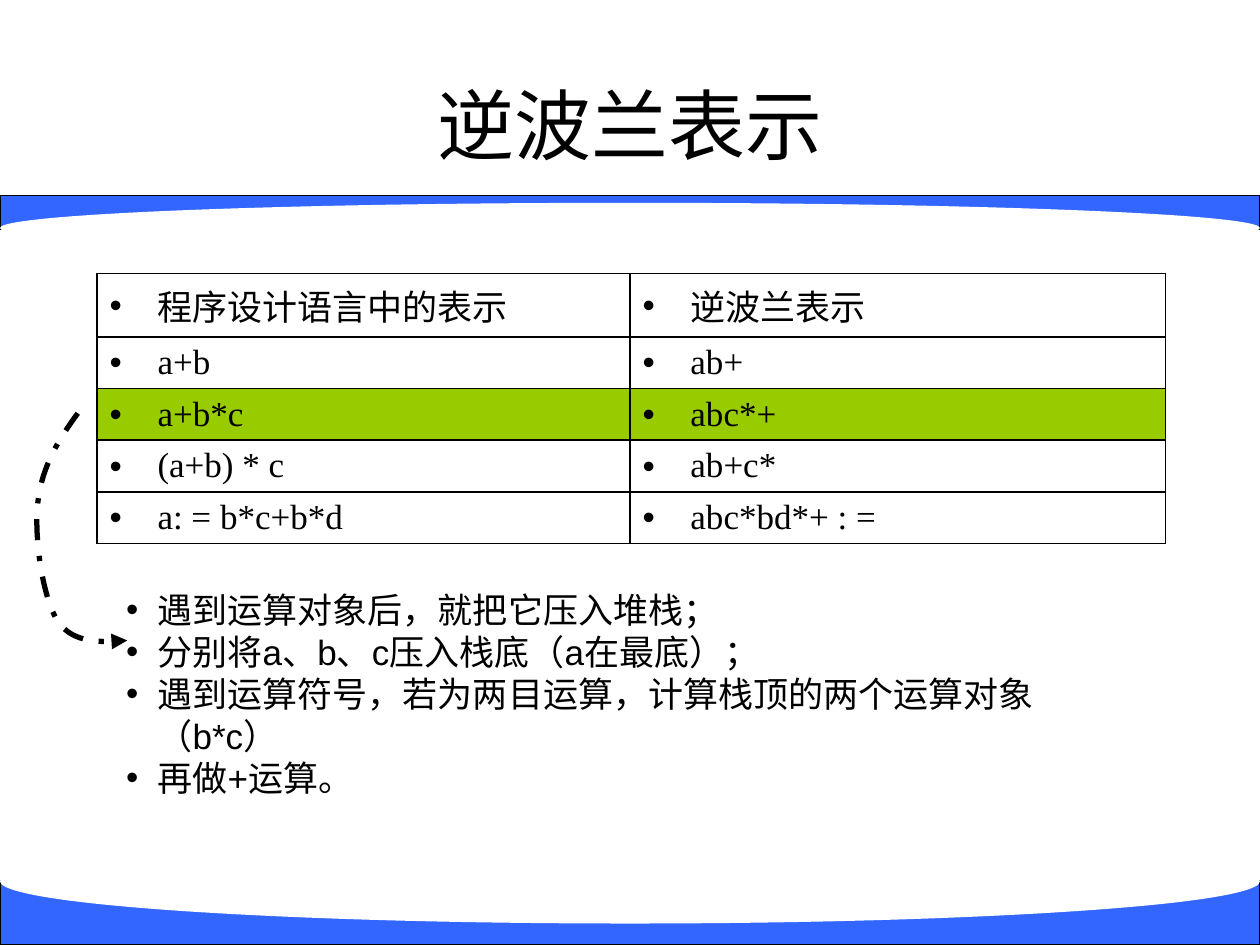
from lxml import etree
from pptx import Presentation
from pptx.dml.color import RGBColor
from pptx.enum.dml import MSO_LINE
from pptx.enum.shapes import MSO_SHAPE
from pptx.enum.text import MSO_ANCHOR, MSO_AUTO_SIZE, PP_ALIGN
from pptx.oxml.ns import qn
from pptx.util import Inches, Pt

RECTANGLE, OVAL = MSO_SHAPE.RECTANGLE, MSO_SHAPE.OVAL
MIDDLE, TOP = MSO_ANCHOR.MIDDLE, MSO_ANCHOR.TOP
CENTER, LEFT = PP_ALIGN.CENTER, PP_ALIGN.LEFT
DASH_DOT = MSO_LINE.DASH_DOT
NO_AUTOFIT = MSO_AUTO_SIZE.NONE

COLORS = {"blue": "3366FF", "white": "FFFFFF", "black": "000000", "green": "99CC00"}
TITLE_FONT = {"name": "Arial", "size": Pt(44), "bold": False}
LIST_FONT = {"name": "Arial", "size": Pt(20), "bold": False}
TABLE_FONT = {"name": "Times New Roman", "size": Pt(20), "bold": False}

EXPRESSIONS = [
    ("程序设计语言中的表示", "逆波兰表示"),
    ("a+b", "ab+"),
    ("a+b*c", "abc*+"),
    ("(a+b) * c", "ab+c*"),
    ("a: = b*c+b*d", "abc*bd*+ : ="),
]
HIGHLIGHTED_ROW = 2
STEPS = [
    "遇到运算对象后，就把它压入堆栈；",
    "分别将a、b、c压入栈底（a在最底）；",
    "遇到运算符号，若为两目运算，计算栈顶的两个运算对象（b*c）",
    "再做+运算。",
]
# Joined cubic curves as fractions of the arrow's box: a start, then three points each.
ARROW_CURVE = [
    (0.47, 0),
    (0.27, 0.11), (0.08, 0.23), (0.04, 0.39),
    (0, 0.53), (0.09, 0.8), (0.26, 0.9),
    (0.42, 0.99), (0.7, 0.99), (1, 0.98),
]


def color(name):
    return RGBColor.from_string(COLORS[name])


def format_paragraph(paragraph, font_values, alignment=LEFT):
    paragraph.alignment = alignment
    paragraph.space_before = Pt(0)
    for name, value in font_values.items():
        setattr(paragraph.font, name, value)
    paragraph.font.color.rgb = color("black")


def add_bullet(paragraph, indent):
    properties = paragraph._p.get_or_add_pPr()
    properties.set("marL", str(Inches(indent)))
    properties.set("indent", str(-Inches(indent)))
    etree.SubElement(properties, qn("a:buFont"), typeface="Arial")
    etree.SubElement(properties, qn("a:buChar"), char="•")


def place(shape, box):
    shape.left, shape.top, shape.width, shape.height = map(Inches, box)


def add_curved_band(slide, band_box, oval_box, depth):
    """Blue band behind the placeholders, cut into a curve by a white oval."""
    parts = [(RECTANGLE, band_box, "blue"), (OVAL, oval_box, "white")]
    for offset, (kind, box, fill) in enumerate(parts):
        shape = slide.shapes.add_shape(kind, *map(Inches, box))
        shape.shadow.inherit = False
        shape.fill.solid()
        shape.fill.fore_color.rgb = color(fill)
        if kind == RECTANGLE:
            shape.line.color.rgb = color("black")
            shape.line.width = Pt(0.75)
        else:
            shape.line.fill.background()
        slide.shapes._spTree.insert(depth + offset, shape._element)


def fill_title(slide, box):
    title = slide.shapes.title
    place(title, box)
    title.text_frame.text = "逆波兰表示"
    title.text_frame.vertical_anchor = MIDDLE
    format_paragraph(title.text_frame.paragraphs[0], TITLE_FONT, CENTER)


def add_cell_borders(cell):
    properties = cell._tc.get_or_add_tcPr()
    for side in ("lnL", "lnR", "lnT", "lnB"):
        line = etree.SubElement(properties, qn(f"a:{side}"), w=str(Pt(1)))
        fill = etree.SubElement(line, qn("a:solidFill"))
        etree.SubElement(fill, qn("a:srgbClr"), val=COLORS["black"])


def add_expression_table(slide, box, column_widths, row_heights):
    frame = slide.shapes.add_table(
        len(row_heights), len(column_widths), *map(Inches, box))
    table = frame.table
    table.first_row = table.horz_banding = False
    for column, width in zip(table.columns, column_widths):
        column.width = Inches(width)
    for row_index, expressions in enumerate(EXPRESSIONS):
        table.rows[row_index].height = Inches(row_heights[row_index])
        for column_index, expression in enumerate(expressions):
            cell = table.cell(row_index, column_index)
            cell.text = expression
            cell.vertical_anchor = MIDDLE
            paragraph = cell.text_frame.paragraphs[0]
            add_bullet(paragraph, 0.38)
            format_paragraph(paragraph, TABLE_FONT)
            add_cell_borders(cell)
            if row_index == HIGHLIGHTED_ROW:
                cell.fill.solid()
                cell.fill.fore_color.rgb = color("green")
            else:
                cell.fill.background()


def fill_steps(slide, box):
    body = slide.placeholders[1]
    place(body, box)
    text_frame = body.text_frame
    text_frame.auto_size = NO_AUTOFIT
    text_frame.vertical_anchor = TOP
    text_frame.text = "\n".join(STEPS)
    for paragraph in text_frame.paragraphs:
        add_bullet(paragraph, 0.25)
        format_paragraph(paragraph, LIST_FONT)


def bezier_points(controls, steps=16):
    """Points along one cubic curve, without its start."""
    for step in range(1, steps + 1):
        t = step / steps
        weights = ((1 - t) ** 3, 3 * t * (1 - t) ** 2, 3 * t ** 2 * (1 - t), t ** 3)
        yield tuple(
            Inches(sum(weight * value for weight, value in zip(weights, axis)))
            for axis in zip(*controls))


def add_curved_arrow(slide, box):
    """Dashed arrow from the highlighted row round to the steps."""
    left, top, width, height = box
    points = [(left + x * width, top + y * height) for x, y in ARROW_CURVE]
    builder = slide.shapes.build_freeform(*map(Inches, points[0]))
    for start in range(0, len(points) - 1, 3):
        builder.add_line_segments(bezier_points(points[start:start + 4]), close=False)
    arrow = builder.convert_to_shape()
    arrow.shadow.inherit = False
    arrow.fill.background()
    arrow.line.color.rgb = color("black")
    arrow.line.width = Pt(3)
    arrow.line.dash_style = DASH_DOT
    line = arrow._element.spPr.find(qn("a:ln"))
    etree.SubElement(line, qn("a:tailEnd"), type="triangle")


def main():
    presentation = Presentation()
    presentation.slide_width, presentation.slide_height = Inches(10), Inches(7.5)
    slide = presentation.slides.add_slide(presentation.slide_layouts[1])
    add_curved_band(slide, (0, 1.55, 10, 0.27), (0, 1.61, 10, 0.4), depth=2)
    add_curved_band(slide, (0, 6.99, 10, 0.51), (0, 6.66, 10, 0.67), depth=4)
    fill_title(slide, (0.75, 0.36, 8.5, 1.25))
    add_expression_table(slide, (0.77, 2.17, 8.48, 2.14),
                         (4.23, 4.25), [0.5] + [0.41] * 4)
    add_curved_arrow(slide, (0.27, 3.28, 0.74, 1.84))
    fill_steps(slide, (0.9, 4.62, 8.2, 1.43))
    presentation.save("out.pptx")


if __name__ == "__main__":
    main()
